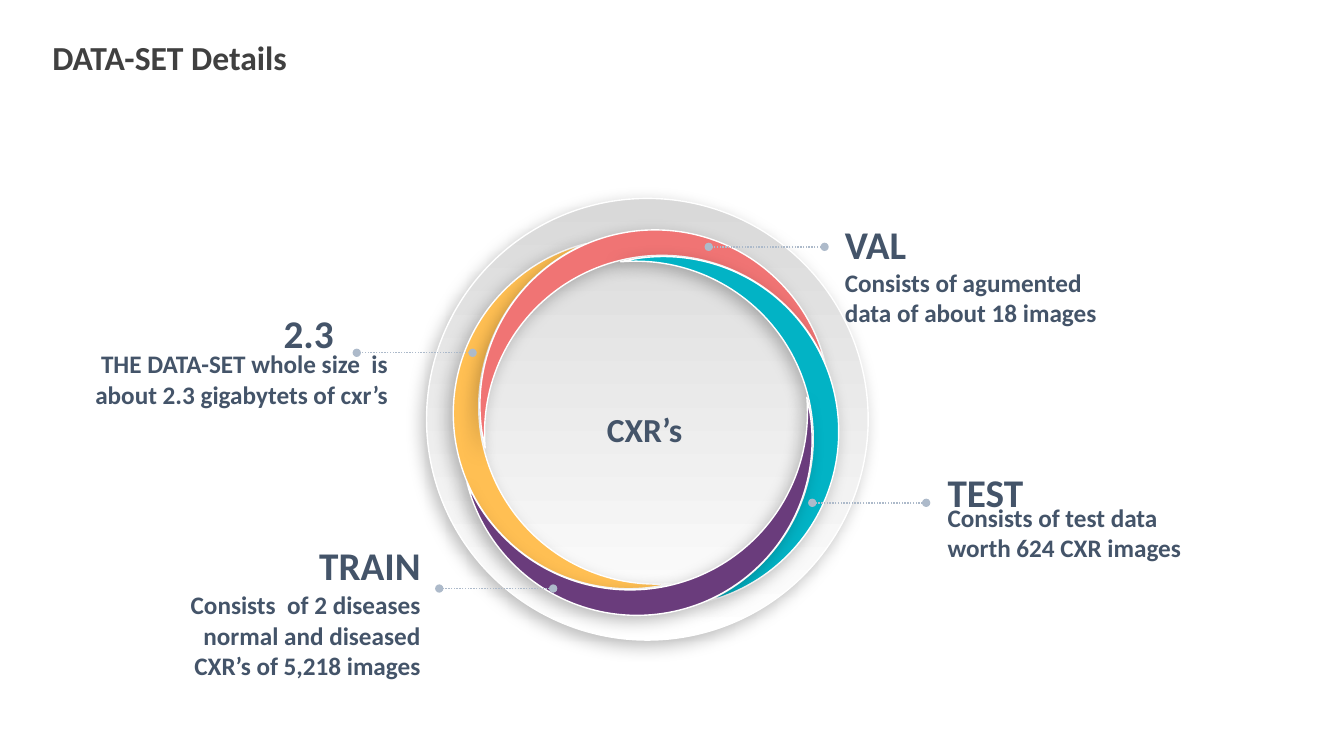
from lxml import etree
from pptx import Presentation
from pptx.dml.color import RGBColor
from pptx.enum.dml import MSO_LINE
from pptx.enum.shapes import MSO_CONNECTOR, MSO_SHAPE
from pptx.enum.text import MSO_ANCHOR, MSO_AUTO_SIZE, PP_ALIGN
from pptx.oxml import parse_xml
from pptx.oxml.ns import nsdecls, qn
from pptx.util import Cm, Pt

LEFT, CENTER, RIGHT = PP_ALIGN.LEFT, PP_ALIGN.CENTER, PP_ALIGN.RIGHT
TOP, NO_FIT = MSO_ANCHOR.TOP, MSO_AUTO_SIZE.NONE
DOTTED, STRAIGHT = MSO_LINE.ROUND_DOT, MSO_CONNECTOR.STRAIGHT
OVAL, MOON = MSO_SHAPE.OVAL, MSO_SHAPE.MOON

WHITE = RGBColor(0xFF, 0xFF, 0xFF)
SILVER = RGBColor(0xD9, 0xD9, 0xD9)
CHARCOAL = RGBColor(0x40, 0x40, 0x40)
SLATE = RGBColor(0x44, 0x54, 0x69)
MIST = RGBColor(0xAD, 0xBA, 0xCA)
AMBER = RGBColor(0xFF, 0xBF, 0x53)
CORAL = RGBColor(0xF0, 0x74, 0x74)
TEAL = RGBColor(0x02, 0xB3, 0xC5)
PURPLE = RGBColor(0x6A, 0x3C, 0x7C)

SHADOW = (
    f'<a:outerShdw {nsdecls("a")} blurRad="152400" dist="63500" dir="8100000" '
    'algn="tr" rotWithShape="0"><a:srgbClr val="000000"><a:alpha val="26000"/>'
    '</a:srgbClr></a:outerShdw>'
)


def write(box, place, text, size, color, align, inset=0):
    box.left, box.top, box.width, box.height = [Cm(length) for length in place]
    frame = box.text_frame
    frame_format = {
        "word_wrap": True, "auto_size": NO_FIT, "vertical_anchor": TOP,
        "margin_left": Cm(inset), "margin_right": Cm(inset),
        "margin_top": Cm(inset / 2), "margin_bottom": Cm(inset / 2),
    }
    for name, value in frame_format.items():
        setattr(frame, name, value)
    para = frame.paragraphs[0]
    para.alignment = align
    span = para.add_run()
    span.text = text
    span.font.color.rgb = color
    for name, value in {"name": "Calibri", "size": Pt(size), "bold": True}.items():
        setattr(span.font, name, value)


def outline_and_shadow(shape):
    shape.line.color.rgb = WHITE
    shape.line.width = Pt(1)
    shape.shadow.inherit = False
    shape._element.spPr.find(qn("a:effectLst")).append(parse_xml(SHADOW))


deck = Presentation()
deck.slide_width, deck.slide_height = Cm(33.87), Cm(19.05)
slide = deck.slides.add_slide(deck.slide_layouts[5])
shapes = slide.shapes

write(shapes.title, (1.07, 0.81, 11.81, 1.27), "DATA-SET Details", 24, CHARCOAL, LEFT, 0.25)

disc = shapes.add_shape(OVAL, Cm(10.75), Cm(5), Cm(11.13), Cm(11.13))
disc.fill.gradient()
disc.fill.gradient_angle = 90
for stop, color in zip(disc.fill.gradient_stops, (WHITE, SILVER)):
    stop.color.rgb = color
outline_and_shadow(disc)

RING_X, RING_Y = 16.28, 10.65
MOON_WIDTH, MOON_HEIGHT = 4.42, 8.83
offset_x, offset_y = -2.58, 0.31
for turn, color in enumerate((AMBER, CORAL, TEAL, PURPLE)):
    moon = shapes.add_shape(
        MOON,
        Cm(RING_X + offset_x - MOON_WIDTH / 2), Cm(RING_Y + offset_y - MOON_HEIGHT / 2),
        Cm(MOON_WIDTH), Cm(MOON_HEIGHT),
    )
    moon.adjustments[0] = 0.15
    moon.rotation = (345.9 + 90 * turn) % 360
    moon.fill.solid()
    moon.fill.fore_color.rgb = color
    outline_and_shadow(moon)
    offset_x, offset_y = -offset_y, offset_x

center_label = shapes.add_textbox(0, 0, 0, 0)
write(center_label, (13.31, 10.19, 5.87, 1.27), "CXR’s", 24, SLATE, CENTER, 0.25)

callouts = [
    ("2.3", (2.97, 7.8, 5.44, 1.19),
     "THE DATA-SET whole size  is about 2.3 gigabytets of cxr’s", (1.55, 8.79, 8.23, 1.55),
     RIGHT, (11.91, 8.99, 8.89)),
    ("VAL", (21.29, 5.54, 3.51, 1.19),
     "Consists of agumented data of about 18 images", (21.29, 6.73, 6.63, 1.55),
     LEFT, (20.78, 17.86, 6.22)),
    ("TRAIN", (5.16, 13.64, 5.44, 1.19),
     "Consists  of 2 diseases normal and diseased CXR’s of 5,218 images", (3.78, 14.86, 6.82, 2.31),
     RIGHT, (13.94, 11.07, 14.83)),
    ("TEST", (23.88, 11.79, 5.44, 1.19),
     "Consists of test data worth 624 CXR images", (23.88, 12.65, 6.53, 1.55),
     LEFT, (23.34, 20.47, 12.67)),
]
for heading, heading_place, detail, detail_place, align, (start, end, level) in callouts:
    write(shapes.add_textbox(0, 0, 0, 0), heading_place, heading, 28, SLATE, align)
    write(shapes.add_textbox(0, 0, 0, 0), detail_place, detail, 18, SLATE, align)
    leader = shapes.add_connector(STRAIGHT, Cm(start), Cm(level), Cm(end), Cm(level))
    leader.line.color.rgb = MIST
    leader.line.width = Pt(1)
    leader.line.dash_style = DOTTED
    for tag in ("a:headEnd", "a:tailEnd"):
        etree.SubElement(leader.line._get_or_add_ln(), qn(tag), type="oval")
    etree.SubElement(leader._element.spPr, qn("a:effectLst"))

deck.save("out.pptx")
